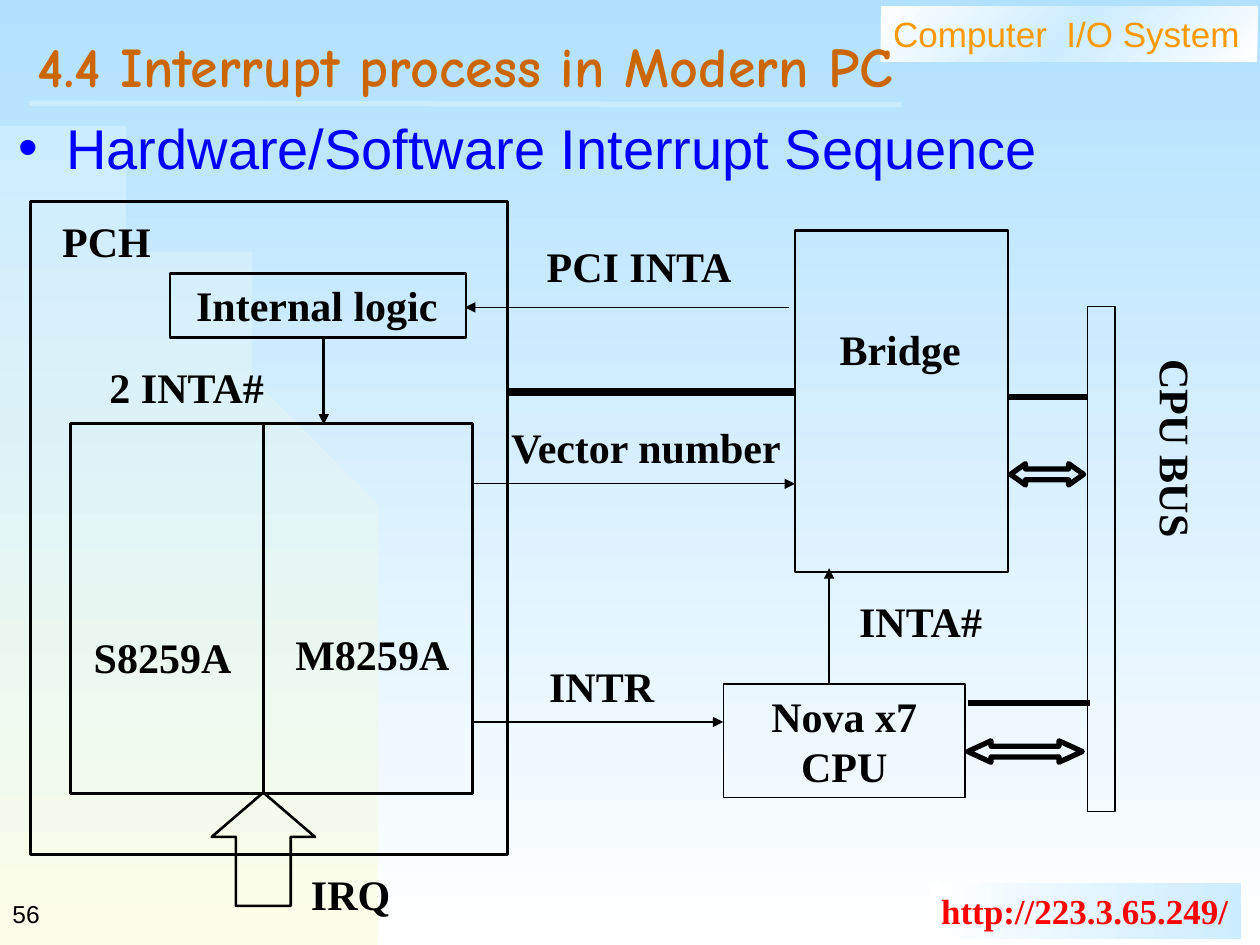
from copy import deepcopy
from pptx import Presentation
from pptx.dml.color import RGBColor as RGB
from pptx.enum.shapes import MSO_CONNECTOR as CONN, MSO_SHAPE as SHAPE
from pptx.enum.text import MSO_ANCHOR as ANCHOR, MSO_AUTO_SIZE as AUTO, PP_ALIGN as ALIGN
from pptx.oxml.ns import qn
from pptx.util import Inches, Pt

HEX = {"sky": "B1E1FF", "ice": "CCECFF", "white": "FFFFFF", "cream": "FFFFE7",
       "black": "000000", "blue": "0000FF", "rust": "CC6600",
       "orange": "FF9900", "red": "FF0000"}
SERIF, SANS, COMIC = "Times New Roman", "Arial", "Comic Neue"
TITLE = "4.4 Interrupt process in Modern PC"
TOPIC = "Hardware/Software Interrupt Sequence"
CURVE = [(0, 0.92), (1.75, 0.92), (3.17, 3.87), (3.17, 7.5)]

BANNERS = [
    ("Computer  I/O System", (6.99, 0.05, 2.99, 0.44), ["white", "ice", "white"], 315,
     (20, SANS, "orange", False)),
    ("http://223.3.65.249/", (7.37, 7.01, 2.48, 0.44), ["white", "ice"], 0,
     (20, SERIF, "red", True)),
]
SHAPES = [
    (SHAPE.RECTANGLE, (0.24, 1.6, 3.79, 5.18), 1.5, []),
    (SHAPE.RECTANGLE, (0.56, 3.36, 3.19, 2.94), 1.5, []),
    (SHAPE.RECTANGLE, (1.35, 2.17, 2.35, 0.51), 1.5, []),
    (SHAPE.RECTANGLE, (6.31, 1.83, 1.69, 2.71), 1.5, []),
    (SHAPE.RECTANGLE, (5.74, 5.43, 1.92, 0.9), 0.75, []),
    (SHAPE.RECTANGLE, (8.63, 2.43, 0.22, 4.01), 0.75, []),
    (SHAPE.LEFT_RIGHT_ARROW, (8.02, 3.68, 0.58, 0.17), 3, [0.5, 0.7]),
    (SHAPE.LEFT_RIGHT_ARROW, (7.68, 5.88, 0.91, 0.17), 3, [0.5, 1.09]),
    (SHAPE.UP_ARROW, (1.68, 6.29, 0.82, 0.9), 1.5, [0.53, 0.43]),
]
WIRES = [
    ((6.26, 2.44), (3.69, 2.44), 0.75, True),
    ((6.58, 5.43), (6.58, 4.51), 0.75, True),
    ((3.76, 3.84), (6.31, 3.84), 0.75, True),
    ((3.75, 5.73), (5.74, 5.73), 1.5, True),
    ((2.57, 2.68), (2.57, 3.37), 1.5, True),
    ((2.09, 3.36), (2.09, 6.3), 1.5, False),
    ((4.03, 3.11), (6.31, 3.11), 4.5, False),
    ((8.01, 3.15), (8.63, 3.15), 3, False),
    ((7.68, 5.58), (8.65, 5.58), 3, False),
]
LABELS = [
    ("PCH", (0.27, 1.66, 1.15, 0.5), ALIGN.CENTER),
    ("Bridge", (6.5, 2.52, 1.29, 0.5), ALIGN.CENTER),
    ("Nova x7\nCPU", (5.74, 5.43, 1.92, 0.9), ALIGN.CENTER),
    ("PCI INTA", (4.24, 1.86, 1.69, 0.5), ALIGN.LEFT),
    ("INTA#", (6.72, 4.68, 1.2, 0.5), ALIGN.LEFT),
    ("Vector number", (3.96, 3.3, 2.37, 0.5), ALIGN.LEFT),
    ("INTR", (4.26, 5.19, 1.03, 0.5), ALIGN.LEFT),
    ("M8259A", (2.1, 4.94, 1.71, 0.5), ALIGN.CENTER),
    ("S8259A", (0.43, 4.96, 1.72, 0.5), ALIGN.CENTER),
    ("IRQ", (2.37, 6.84, 0.83, 0.5), ALIGN.LEFT),
    ("Internal logic", (1.4, 2.17, 2.23, 0.5), ALIGN.CENTER),
    ("2 INTA#", (0.77, 2.82, 1.45, 0.5), ALIGN.LEFT),
]


def color(name):
    return RGB.from_string(HEX[name])


def inch(nums):
    return [Inches(n) for n in nums]


def blend(fill, names, angle):
    fill.gradient()
    fill.gradient_angle = angle
    first = fill.gradient_stops[0]._gs
    for _ in names[2:]:
        first.getparent().append(deepcopy(first))
    for i, (stop, name) in enumerate(zip(fill.gradient_stops, names)):
        stop.position = i / (len(names) - 1)
        stop.color.rgb = color(name)


def write(shape, text, style, align=ALIGN.LEFT, anchor=ANCHOR.TOP, wrap=False):
    size, face, tint, bold = style
    frame = shape.text_frame
    frame.text = text
    frame.word_wrap = wrap
    frame.auto_size = AUTO.NONE
    frame.vertical_anchor = anchor
    for para in frame.paragraphs:
        para.alignment = align
        para.space_before = Pt(0)
        font = para.font
        font.size, font.name, font.bold = Pt(size), face, bold
        font.color.rgb = color(tint)
    return frame


def label(tree, text, spot, style=(24, SERIF, "black", True), **opts):
    return write(tree.add_textbox(*inch(spot)), text, style, **opts)


def draw(tree, kind, spot):
    shape = tree.add_shape(kind, *inch(spot))
    shape.shadow.inherit = False
    return shape


def wire(tree, start, end, width, tint="black", head=False):
    line = tree.add_connector(CONN.STRAIGHT, *inch(start + end))
    line.line.width = Pt(width)
    line.line.color.rgb = color(tint)
    if head:
        tail = line.line._get_or_add_ln().makeelement(qn("a:tailEnd"), {"type": "triangle"})
        line.line._get_or_add_ln().append(tail)
    props = line._element.spPr
    props.append(props.makeelement(qn("a:effectLst"), {}))


def point(t):
    parts = ((1 - t) ** 3, 3 * t * (1 - t) ** 2, 3 * t * t * (1 - t), t ** 3)
    return tuple(sum(p * spot[i] for p, spot in zip(parts, CURVE)) for i in (0, 1))


def bullet(para):
    props = para._p.get_or_add_pPr()
    props.set("marL", str(Inches(0.38)))
    props.set("indent", str(Inches(-0.38)))
    hue = props.makeelement(qn("a:buClr"), {})
    hue.append(hue.makeelement(qn("a:srgbClr"), {"val": HEX["blue"]}))
    props.append(hue)
    for tag, key, val in (("a:buSzPct", "val", "50000"), ("a:buFont", "typeface", SANS),
                          ("a:buChar", "char", "■")):
        props.append(props.makeelement(qn(tag), {key: val}))


def place(shape, spot):
    shape.left, shape.top, shape.width, shape.height = inch(spot)


def main():
    """Build the interrupt sequence slide."""
    deck = Presentation()
    deck.slide_width, deck.slide_height = inch((10, 7.5))
    slide = deck.slides.add_slide(deck.slide_layouts[1])
    tree = slide.shapes
    title, body = slide.placeholders
    blend(slide.background.fill, ["sky", "white"], 270)

    pen = tree.build_freeform(*CURVE[0], scale=Inches(1))
    pen.add_line_segments([point(i / 40) for i in range(1, 41)] + [(0, 7.5)], close=True)
    hill = pen.convert_to_shape()
    hill.shadow.inherit = False
    hill.line.fill.background()
    blend(hill.fill, ["ice", "cream"], 270)

    for text, spot, names, angle, style in BANNERS:
        shape = draw(tree, SHAPE.RECTANGLE, spot)
        shape.line.fill.background()
        blend(shape.fill, names, angle)
        write(shape, text, style)
    wire(tree, (0.23, 0.82), (7.15, 0.83), 3, "ice")
    label(tree, "56", (0, 7, 2.08, 0.5), (14, SANS, "black", False), anchor=ANCHOR.MIDDLE)

    for holder in (title, body):
        tree._spTree.append(holder._element)
    place(title, (0.2, 0.2, 9.55, 0.77))
    frame = write(title, TITLE, (32, COMIC, "rust", True), anchor=ANCHOR.MIDDLE, wrap=True)
    frame.paragraphs[0].line_spacing = 0.7
    place(body, (0.05, 0.85, 9.85, 6.41))
    bullet(body.text_frame.paragraphs[0])
    write(body, TOPIC, (32, SANS, "blue", False), wrap=True)

    for kind, spot, width, bends in SHAPES:
        shape = draw(tree, kind, spot)
        shape.fill.background()
        shape.line.color.rgb = color("black")
        shape.line.width = Pt(width)
        for i, bend in enumerate(bends):
            shape.adjustments[i] = bend
    for start, end, width, head in WIRES:
        wire(tree, start, end, width, head=head)
    for text, spot, align in LABELS:
        label(tree, text, spot, align=align)
    bus = label(tree, "CPU BUS", (8.99, 2.75, 0.6, 1.52))
    bus._txBody.bodyPr.set("vert", "eaVert")
    bus.margin_left = bus.margin_right = Inches(0.05)
    bus.margin_top = bus.margin_bottom = Inches(0.1)
    deck.save("out.pptx")


if __name__ == "__main__":
    main()
